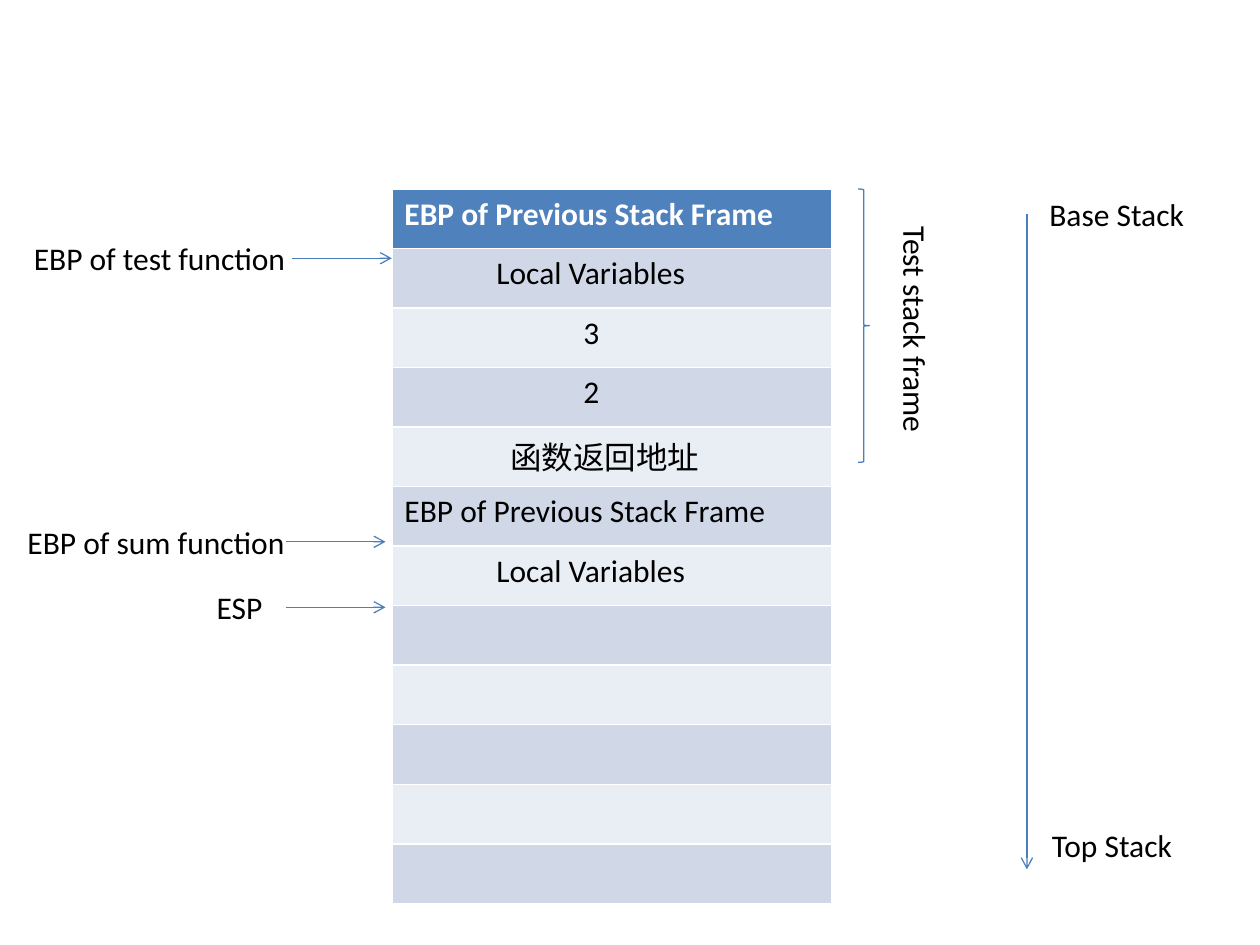
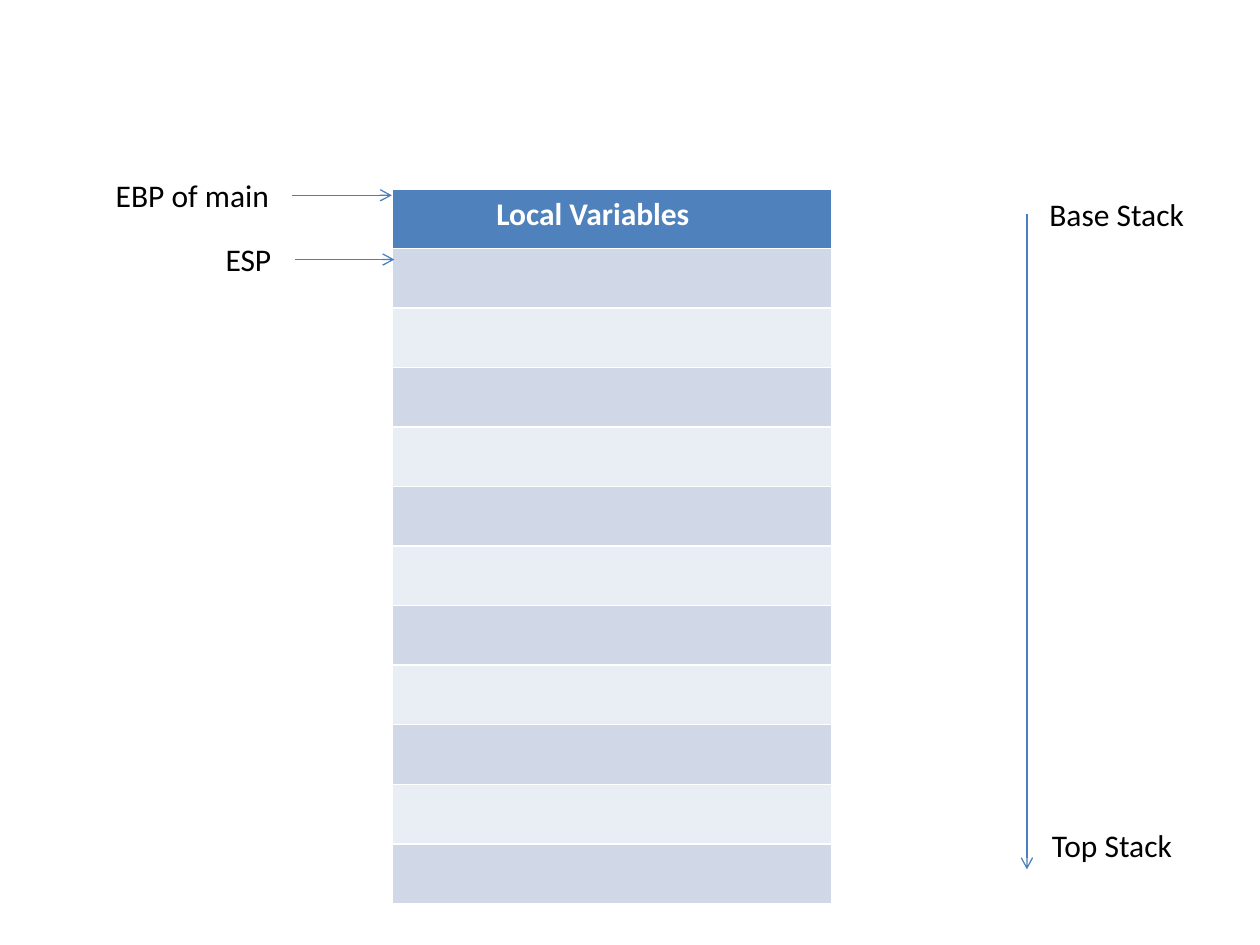
from lxml import etree
from pptx import Presentation
from pptx.dml.color import RGBColor
from pptx.enum.shapes import MSO_CONNECTOR, MSO_SHAPE
from pptx.enum.text import MSO_AUTO_SIZE
from pptx.oxml.ns import qn
from pptx.util import Inches, Pt

STRAIGHT = MSO_CONNECTOR.STRAIGHT
RIGHT_BRACE = MSO_SHAPE.RIGHT_BRACE
GROW = MSO_AUTO_SIZE.SHAPE_TO_FIT_TEXT

COLORS = {
    "header": "4F81BD",
    "odd_row": "D0D8E8",
    "even_row": "E9EDF4",
    "line": "4B7EBC",
    "header_text": "FFFFFF",
    "text": "000000",
}
FONT = "Calibri"
FONT_SIZE = Pt(18)
LINE_WIDTH = Pt(0.75)

STACK_LEFT, STACK_TOP = 3.11, 1.5
STACK_WIDTH, STACK_HEIGHT = 3.49, 5.67
STACK_ROWS = 12
LABEL_HEIGHT = 0.4
POINTER_LENGTH = 0.79

# Left margins of the stack cells, by kind of entry
FRAME_INDENT, VARIABLES_INDENT, ADDRESS_INDENT, VALUE_INDENT = 0.1, 0.83, 0.94, 1.52
ESP_INDENT = 0.21


def color(name):
    return RGBColor.from_string(COLORS[name])


def style_text(paragraph, color_name="text", bold=False):
    font = paragraph.font
    font.name, font.size, font.bold = FONT, FONT_SIZE, bold
    font.color.rgb = color(color_name)


def style_line(line):
    line.color.rgb = color("line")
    line.width = LINE_WIDTH


def add_label(slide, text, left, top, width, height=LABEL_HEIGHT, indent=0.1):
    label = slide.shapes.add_textbox(
        Inches(left), Inches(top), Inches(width), Inches(height))
    frame = label.text_frame
    frame.word_wrap = True
    frame.auto_size = GROW
    frame.margin_left = Inches(indent)
    frame.text = text
    style_text(frame.paragraphs[0])
    return label


def add_arrow(slide, start, end):
    arrow = slide.shapes.add_connector(STRAIGHT, *map(Inches, start + end))
    style_line(arrow.line)
    properties = arrow.element.spPr
    etree.SubElement(properties.find(qn("a:ln")), qn("a:tailEnd"), type="arrow")
    etree.SubElement(properties, qn("a:effectLst"))


def add_pointer(slide, register, left, width, y, arrow_left, indent=0.1):
    """Name a register and point from it to its place in the stack."""
    add_label(slide, register, left, y - LABEL_HEIGHT / 2, width, indent=indent)
    add_arrow(slide, (arrow_left, y), (arrow_left + POINTER_LENGTH, y))


def add_stack(slide, entries):
    """Draw the stack; entries are (text, indent) pairs from the base down."""
    stack = slide.shapes.add_table(
        STACK_ROWS, 1, Inches(STACK_LEFT), Inches(STACK_TOP),
        Inches(STACK_WIDTH), Inches(STACK_HEIGHT)).table
    for index in range(STACK_ROWS):
        is_header = index == 0
        fill_name = "header" if is_header else ("even_row", "odd_row")[index % 2]
        cell = stack.cell(index, 0)
        cell.fill.solid()
        cell.fill.fore_color.rgb = color(fill_name)
        if index < len(entries):
            cell.text, indent = entries[index]
            cell.margin_left = Inches(indent)
        style_text(cell.text_frame.paragraphs[0],
                   "header_text" if is_header else "text", is_header)


def add_growth_axis(slide):
    add_arrow(slide, (8.15, 1.7), (8.15, 6.9))
    add_label(slide, "Base Stack", 8.23, 1.5, 1.47)
    add_label(slide, "Top Stack", 8.25, 6.51, 1.47)


def add_frame_brace(slide, text):
    brace = slide.shapes.add_shape(
        RIGHT_BRACE, Inches(6.81), Inches(STACK_TOP), Inches(0.09), Inches(2.17))
    brace.shadow.inherit = False
    brace.fill.background()
    style_line(brace.line)
    frame_name = add_label(slide, text, 6.97, 1.7, 0.5, 2.09)
    frame_name.element.txBody.find(qn("a:bodyPr")).set("vert", "eaVert")


def add_stack_slide(deck, entries, pointers):
    slide = deck.slides.add_slide(deck.slide_layouts.get_by_name("Blank"))
    add_stack(slide, entries)
    add_growth_axis(slide)
    for pointer in pointers:
        add_pointer(slide, *pointer)
    return slide


def main():
    deck = Presentation()
    deck.slide_width, deck.slide_height = Inches(10), Inches(7.5)

    previous_frame = ("EBP of Previous Stack Frame", FRAME_INDENT)
    local_variables = ("Local Variables", VARIABLES_INDENT)

    sum_call = add_stack_slide(
        deck,
        [previous_frame, local_variables, ("3", VALUE_INDENT), ("2", VALUE_INDENT),
         ("函数返回地址", ADDRESS_INDENT), previous_frame, local_variables],
        [("EBP of test function", 0.17, 2.2, 2.05, 2.32),
         ("EBP of sum function", 0.12, 2.26, 4.3, 2.27),
         ("ESP", 1.51, 0.81, 4.82, 2.27, ESP_INDENT)])
    add_frame_brace(sum_call, "Test stack frame")

    add_stack_slide(
        deck,
        [local_variables],
        [("EBP of main", 0.82, 1.52, 1.55, 2.32),
         ("ESP", 1.58, 0.81, 2.06, 2.34, ESP_INDENT)])

    deck.save("out.pptx")


if __name__ == "__main__":
    main()
